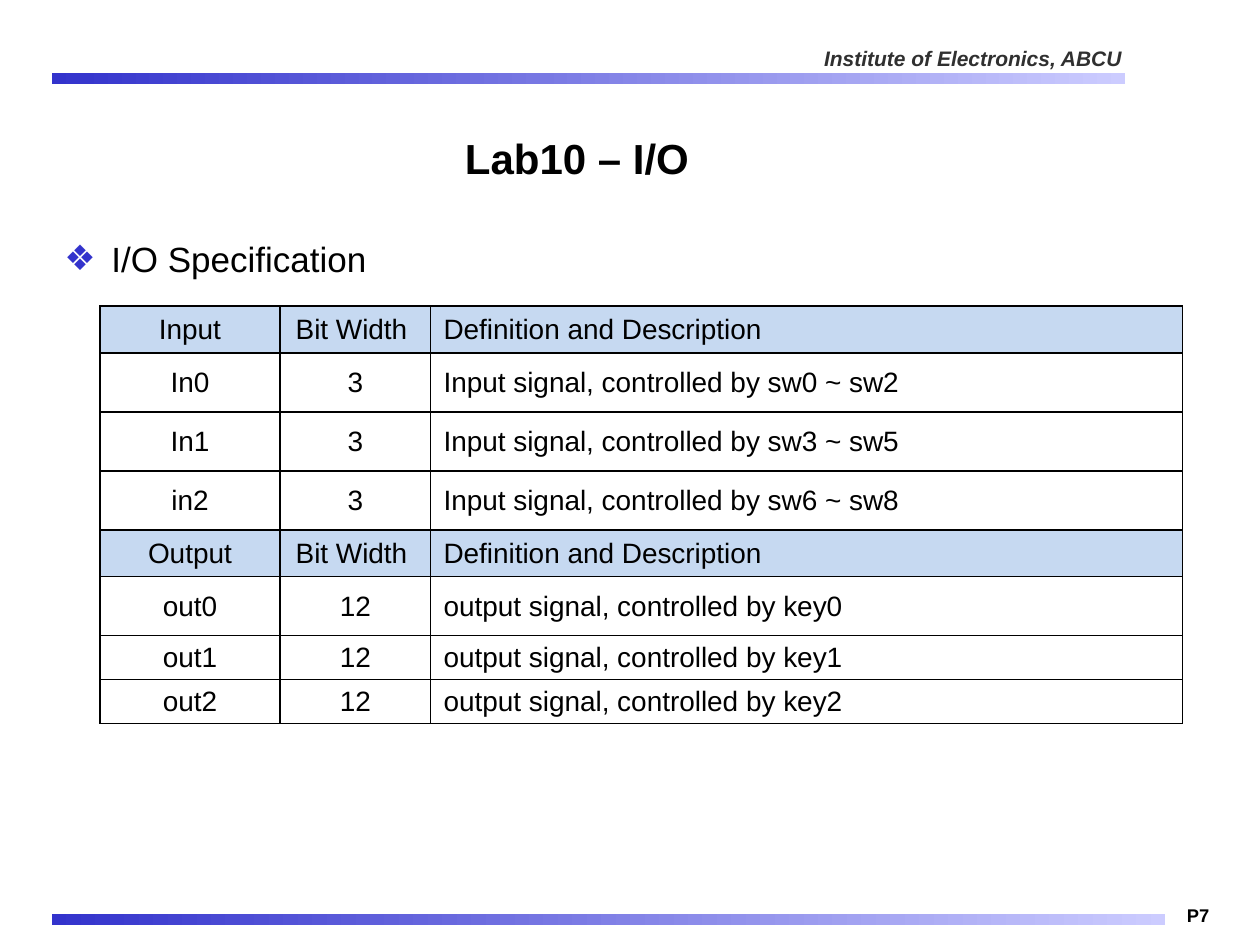
from lxml.etree import SubElement
from pptx import Presentation
from pptx.dml.color import RGBColor
from pptx.enum.shapes import MSO_SHAPE
from pptx.enum.text import MSO_ANCHOR, PP_ALIGN
from pptx.oxml import parse_xml
from pptx.oxml.ns import nsdecls, qn
from pptx.util import Pt

SCALE = 914400 / 126
BLACK = RGBColor(0x00, 0x00, 0x00)
GREY = RGBColor(0x30, 0x30, 0x30)
BLUE = RGBColor(0x33, 0x33, 0xCC)
PALE = RGBColor(0xCC, 0xCC, 0xFF)
HEAD = RGBColor(0xC6, 0xD9, 0xF1)


def px(*nums):
    return [round(n * SCALE) for n in nums]


def add_run(para, text, size, color=BLACK, bold=False, italic=False):
    run = para.add_run()
    run.text = text
    font = run.font
    font.name, font.size = "Arial", Pt(size)
    font.bold, font.italic = bold, italic
    font.color.rgb = color


deck = Presentation()
deck.slide_width, deck.slide_height = px(1260, 945)
slide = deck.slides.add_slide(deck.slide_layouts[5])
shapes = slide.shapes

for box in [(52, 73, 1073, 11), (52, 914, 1113, 11)]:
    bar = shapes.add_shape(MSO_SHAPE.RECTANGLE, *px(*box))
    bar.shadow.inherit = False
    bar.line.fill.background()
    bar.fill.gradient()
    bar.fill.gradient_angle = 0
    for stop, color in zip(bar.fill.gradient_stops, (BLUE, PALE)):
        stop.color.rgb = color

for box, text, size, color, slant, align in [
    ((700, 46, 422, 25), "Institute of Electronics, ABCU", 12, GREY, True, PP_ALIGN.RIGHT),
    ((1187, 903, 46, 24), "P7", 10.5, BLACK, False, PP_ALIGN.LEFT),
]:
    frame = shapes.add_textbox(*px(*box)).text_frame
    frame.margin_left = frame.margin_right = 0
    frame.margin_top = frame.margin_bottom = 0
    frame.vertical_anchor = MSO_ANCHOR.MIDDLE
    frame.word_wrap = True
    para = frame.paragraphs[0]
    para.alignment = align
    add_run(para, text, size, color, True, slant)

title = shapes.title
title.left, title.top, title.width, title.height = px(52, 105, 1050, 105)
title.text_frame.vertical_anchor = MSO_ANCHOR.MIDDLE
para = title.text_frame.paragraphs[0]
para.alignment = PP_ALIGN.CENTER
add_run(para, "Lab10 – I/O", 24, bold=True)

body = shapes.add_textbox(*px(52, 231, 1155, 661)).text_frame
body.word_wrap = True
para = body.paragraphs[0]
para.space_before = Pt(4)
add_run(para, "I/O Specification", 20)
props = para._p.get_or_add_pPr()
indent = px(47)[0]
props.set("marL", str(indent))
props.set("indent", str(-indent))
color = SubElement(props, qn("a:buClr"))
SubElement(color, qn("a:srgbClr"), val=str(BLUE))
SubElement(props, qn("a:buFont"), typeface="Arial")
SubElement(props, qn("a:buChar"), char="❖")

rows = []
for head, names, bits, note, keys in [
    ("Input", ["In0", "In1", "in2"], "3", "Input", ["sw0 ~ sw2", "sw3 ~ sw5", "sw6 ~ sw8"]),
    ("Output", ["out0", "out1", "out2"], "12", "output", ["key0", "key1", "key2"]),
]:
    rows.append((head, "Bit Width ", "Definition and Description"))
    for name, key in zip(names, keys):
        rows.append((name, bits, f"{note} signal, controlled by {key}"))

widths = [180, 151, 752]
heights = [47, 59, 59, 59, 47, 59, 44, 44]
grid = shapes.add_table(
    len(rows), len(widths), *px(100, 306, sum(widths), sum(heights))
).table
for col, width in zip(grid.columns, px(*widths)):
    col.width = width
for row, height in zip(grid.rows, px(*heights)):
    row.height = height

for r, row in enumerate(rows):
    for c, text in enumerate(row):
        cell = grid.cell(r, c)
        cell.vertical_anchor = MSO_ANCHOR.MIDDLE
        cell.margin_top, cell.margin_bottom = px(5, 5)
        props = cell._tc.get_or_add_tcPr()
        for side in ("lnL", "lnR", "lnT", "lnB"):
            props.append(parse_xml(
                f'<a:{side} {nsdecls("a")} w="{Pt(0.75)}"><a:solidFill>'
                f'<a:srgbClr val="{BLACK}"/></a:solidFill></a:{side}>'
            ))
        if r % 4 == 0:
            cell.fill.solid()
            cell.fill.fore_color.rgb = HEAD
        else:
            cell.fill.background()
        para = cell.text_frame.paragraphs[0]
        para.alignment = PP_ALIGN.LEFT if c == 2 else PP_ALIGN.CENTER
        add_run(para, text, 16)

deck.save("out.pptx")
